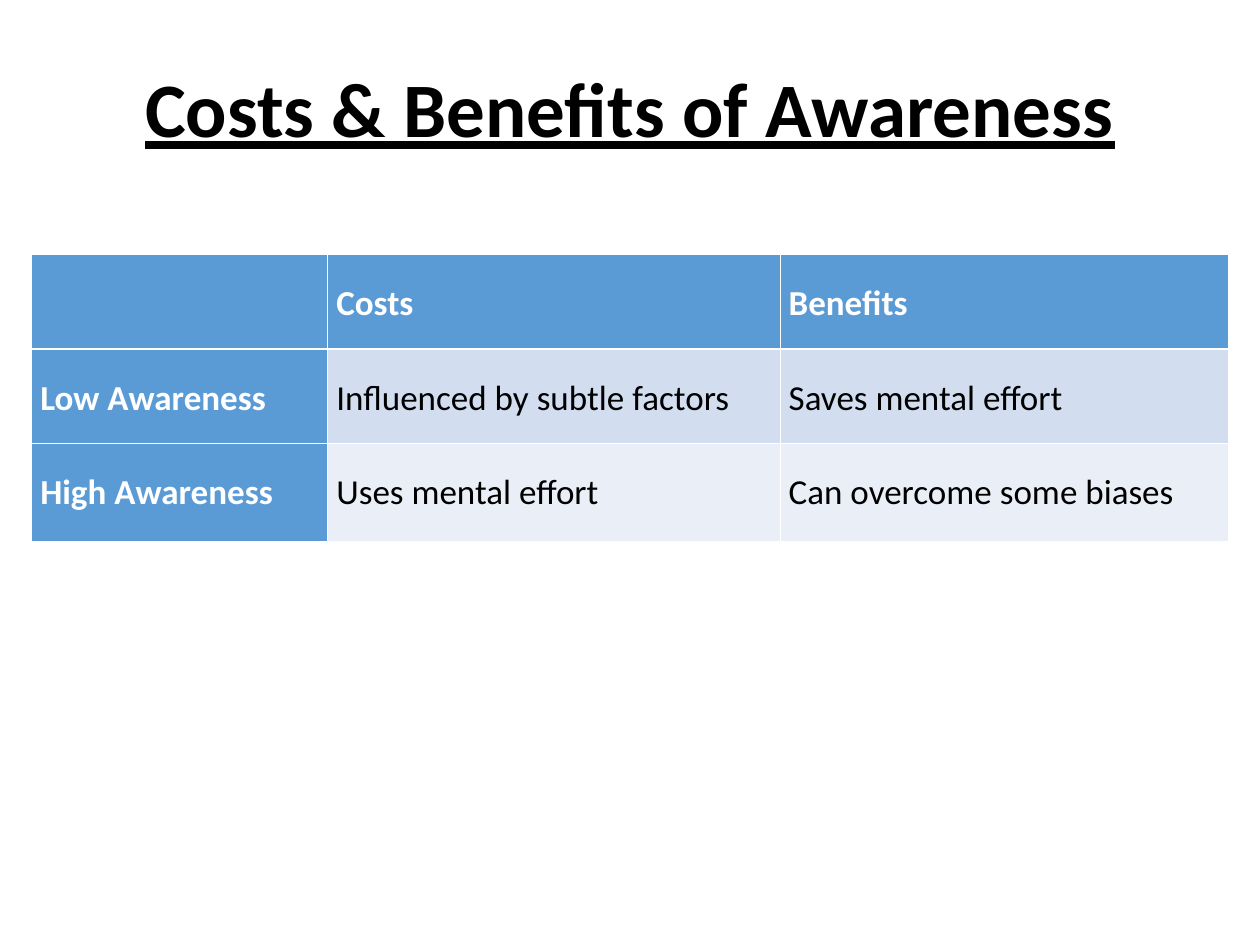
import pptx
import pptx.dml.color
import pptx.enum.text
import pptx.oxml
import pptx.oxml.ns
import pptx.util
from pptx.util import Inches

TITLE = "Costs & Benefits of Awareness"
ROWS = [
    ["", "Costs", "Benefits"],
    ["Low Awareness", "Influenced by subtle factors", "Saves mental effort"],
    ["High Awareness", "Uses mental effort", "Can overcome some biases"],
]
COL_WIDTHS = [2.35, 3.59, 3.56]
ROW_HEIGHTS = [0.75, 0.75, 0.78]
COLORS = {
    "header": "5B9BD5",
    "odd": "D2DEEF",
    "even": "EAEFF7",
    "white": "FFFFFF",
    "black": "000000",
}
FONT = "Calibri"
THIN, THICK = 0.45, 1.47


def rgb(name):
    return pptx.dml.color.RGBColor.from_string(COLORS[name])


def style_font(font, size, color, bold):
    font.name = FONT
    font.size = pptx.util.Pt(size)
    font.bold = bold
    font.color.rgb = rgb(color)


def add_borders(cell, top, bottom):
    tcPr = cell._tc.get_or_add_tcPr()
    for side, width in (("L", THIN), ("R", THIN), ("T", top), ("B", bottom)):
        tcPr.append(pptx.oxml.parse_xml(
            f'<a:ln{side} {pptx.oxml.ns.nsdecls("a")} w="{int(pptx.util.Pt(width))}">'
            f'<a:solidFill><a:srgbClr val="{COLORS["white"]}"/></a:solidFill>'
            f'</a:ln{side}>'))


def format_cell(cell, text, row, col):
    is_header = row == 0 or col == 0
    add_borders(cell, THICK if row == 1 else THIN, THICK if row == 0 else THIN)
    cell.fill.solid()
    cell.fill.fore_color.rgb = rgb("header" if is_header else "odd" if row % 2 else "even")
    cell.margin_left = cell.margin_right = Inches(0.07)
    cell.margin_top = cell.margin_bottom = Inches(0.05)
    cell.text = text
    p = cell.text_frame.paragraphs[0]
    p.line_spacing = 1.5
    style_font(p.font, 20, "white" if is_header else "black", is_header)


def main():
    prs = pptx.Presentation()
    prs.slide_width, prs.slide_height = Inches(10), Inches(7.5)
    s = prs.slides.add_slide(prs.slide_layouts[5])

    title = s.shapes.title
    title.left, title.top = Inches(0.5), Inches(0.22)
    title.width, title.height = Inches(9), Inches(1.25)
    tf = title.text_frame
    tf.text = TITLE
    tf.vertical_anchor = pptx.enum.text.MSO_ANCHOR.MIDDLE
    p = tf.paragraphs[0]
    p.alignment = pptx.enum.text.PP_ALIGN.CENTER
    style_font(p.font, 44, "black", True)
    p.font.underline = True

    table = s.shapes.add_table(
        len(ROWS), len(COL_WIDTHS), Inches(0.25), Inches(2.02),
        Inches(sum(COL_WIDTHS)), Inches(sum(ROW_HEIGHTS))).table
    for column, width in zip(table.columns, COL_WIDTHS):
        column.width = Inches(width)
    for row, height in zip(table.rows, ROW_HEIGHTS):
        row.height = Inches(height)
    for i, texts in enumerate(ROWS):
        for j, text in enumerate(texts):
            format_cell(table.cell(i, j), text, i, j)

    prs.save("out.pptx")


if __name__ == "__main__":
    main()
